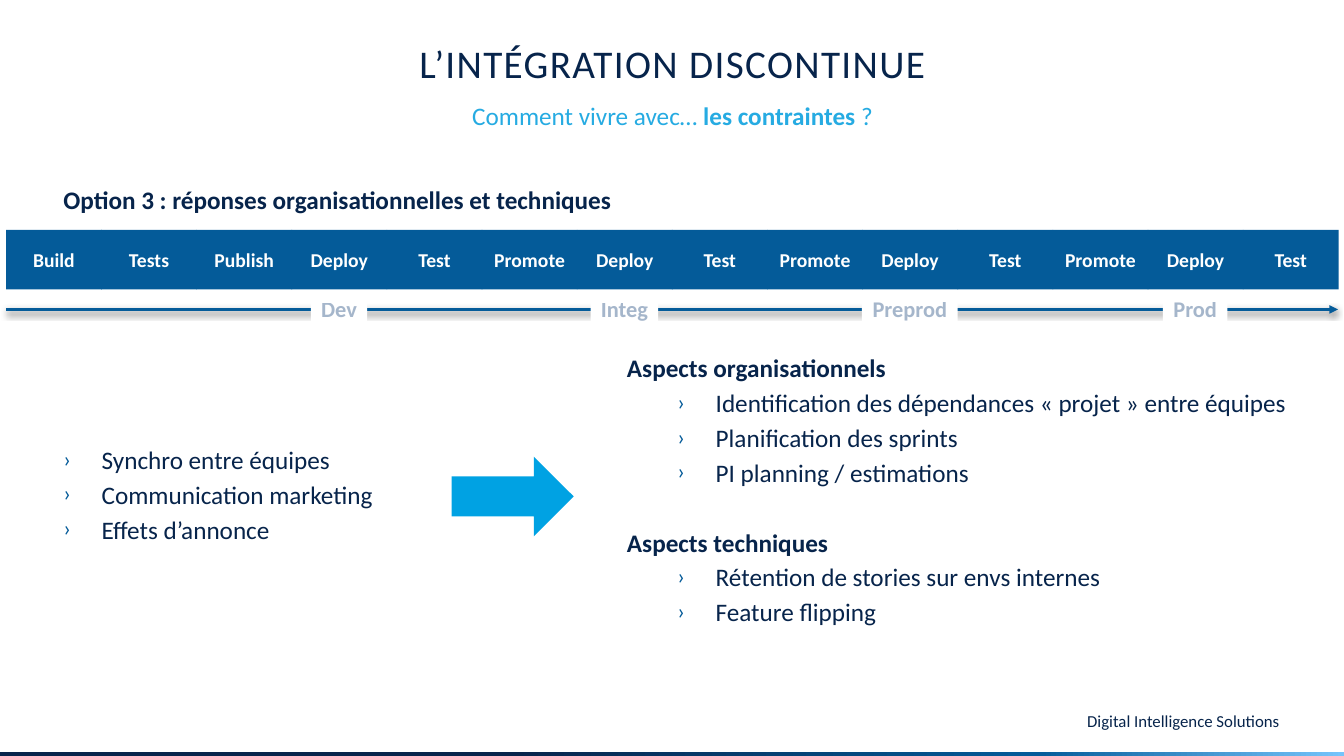
from copy import deepcopy

from lxml.etree import SubElement
from pptx import Presentation
from pptx.dml.color import RGBColor
from pptx.enum.shapes import MSO_CONNECTOR, MSO_SHAPE
from pptx.enum.text import MSO_ANCHOR, PP_ALIGN
from pptx.oxml.ns import qn
from pptx.util import Inches, Pt

FONT = "Calibri"
NAVY, BLUE, SKY, CYAN = "07244B", "045B99", "26ABE2", "00A2E3"
WHITE, SLATE = "FFFFFF", "1F497D"

STEPS = ["Build", "Tests", "Publish", "Deploy", "Test", "Promote", "Deploy",
         "Test", "Promote", "Deploy", "Test", "Promote", "Deploy", "Test"]
BAND_LEFT, BAND_RIGHT = 0.06, 13.27
STEP_PITCH = (BAND_RIGHT - BAND_LEFT) / len(STEPS)
# Environment name, index of its deployment step, label width
ENVIRONMENTS = [("Dev", 3, 0.56), ("Integ", 6, 0.67),
                ("Preprod", 9, 0.95), ("Prod", 12, 0.64)]

CONSTRAINTS = ["Synchro entre équipes", "Communication marketing",
               "Effets d’annonce"]
ASPECTS = [
    ("Aspects organisationnels",
     ["Identification des dépendances «\u00a0projet\u00a0» entre équipes",
      "Planification des sprints", "PI planning / estimations"]),
    ("Aspects techniques",
     ["Rétention de stories sur envs internes", "Feature flipping"]),
]
LINE_GAP, SECTION_GAP = 3.2, 28.4


def color(value):
    return RGBColor.from_string(value)


def style_runs(paragraph, size, fill, bold=False):
    for run in paragraph.runs:
        run.font.name = FONT
        run.font.size = Pt(size)
        run.font.bold = bold
        run.font.color.rgb = color(fill)


def add_text_box(slide, left, top, width, height):
    box = slide.shapes.add_textbox(
        Inches(left), Inches(top), Inches(width), Inches(height))
    box.text_frame.word_wrap = True
    return box.text_frame


def add_line_of_text(slide, box, text, size, fill, bold=False,
                     align=PP_ALIGN.LEFT):
    paragraph = add_text_box(slide, *box).paragraphs[0]
    paragraph.text = text
    paragraph.alignment = align
    style_runs(paragraph, size, fill, bold)
    return paragraph


def add_block(slide, kind, left, top, width, height, fill):
    shape = slide.shapes.add_shape(
        kind, Inches(left), Inches(top), Inches(width), Inches(height))
    shape.shadow.inherit = False
    shape.fill.solid()
    shape.fill.fore_color.rgb = color(fill)
    shape.line.fill.background()
    return shape


def add_label(slide, box, text, size, fill, text_fill):
    shape = add_block(slide, MSO_SHAPE.RECTANGLE, *box, fill)
    frame = shape.text_frame
    frame.margin_left = frame.margin_right = Inches(0.05)
    frame.vertical_anchor = MSO_ANCHOR.MIDDLE
    paragraph = frame.paragraphs[0]
    paragraph.text = text
    paragraph.alignment = PP_ALIGN.CENTER
    style_runs(paragraph, size, text_fill, True)
    return shape


def set_alpha(parent, percent):
    SubElement(parent, qn("a:alpha"), val=str(percent * 1000))


def set_bullet(paragraph, left):
    properties = paragraph._p.get_or_add_pPr()
    properties.set("marL", str(Inches(left)))
    properties.set("indent", str(Inches(-0.38)))
    bullet_color = SubElement(properties, qn("a:buClr"))
    SubElement(bullet_color, qn("a:srgbClr"), val=BLUE)
    SubElement(properties, qn("a:buSzPct"), val="90000")
    SubElement(properties, qn("a:buFont"), typeface=FONT)
    SubElement(properties, qn("a:buChar"), char="›")


def add_paragraph(frame, text, gap=LINE_GAP, bullet_left=None):
    first = not frame.text
    paragraph = frame.paragraphs[0] if first else frame.add_paragraph()
    paragraph.text = text
    if not first:
        paragraph.space_before = Pt(gap)
    if bullet_left is not None:
        set_bullet(paragraph, bullet_left)
    style_runs(paragraph, 18, NAVY, bold=bullet_left is None)


def add_gradient_bar(slide):
    bar = add_block(slide, MSO_SHAPE.RECTANGLE, 0, 7.46, 13.33, 0.04, NAVY)
    bar.fill.gradient()
    bar.fill.gradient_angle = 0
    stop_list = bar._element.spPr.find(".//" + qn("a:gsLst"))
    stop_list.append(deepcopy(stop_list[-1]))
    stops = [(0.38, NAVY), (0.77, BLUE), (1, "75C4FB")]
    for stop, (position, fill) in zip(bar.fill.gradient_stops, stops):
        stop.position = position
        stop.color.rgb = color(fill)


def add_timeline(slide):
    y = Inches(3.07)
    line = slide.shapes.add_connector(
        MSO_CONNECTOR.STRAIGHT, Inches(BAND_LEFT), y, Inches(BAND_RIGHT), y)
    line.line.color.rgb = color(BLUE)
    line.line.width = Pt(2)
    SubElement(line.line._get_or_add_ln(), qn("a:tailEnd"), type="triangle")
    effects = SubElement(line._element.spPr, qn("a:effectLst"))
    shadow = SubElement(effects, qn("a:outerShdw"), blurRad=str(Pt(3.1)),
                        dist=str(Pt(1.6)), dir="5400000", rotWithShape="0")
    set_alpha(SubElement(shadow, qn("a:srgbClr"), val="000000"), 38)


def add_title(slide):
    title = slide.shapes.title
    title.left, title.top = Inches(0.67), Inches(0.3)
    title.width, title.height = Inches(12), Inches(0.65)
    title.text_frame.text = "L’INTÉGRATION DISCONTINUE"
    title.text_frame.vertical_anchor = MSO_ANCHOR.MIDDLE
    paragraph = title.text_frame.paragraphs[0]
    paragraph.alignment = PP_ALIGN.CENTER
    style_runs(paragraph, 28, NAVY)
    paragraph.runs[0].font._element.set("spc", "100")


def add_subtitle(slide):
    paragraph = add_line_of_text(
        slide, (0.67, 0.98, 12, 0.8), "Comment vivre avec… ", 18, SKY,
        align=PP_ALIGN.CENTER)
    paragraph.line_spacing = 0.9
    for text in ("les contraintes ", "?"):
        paragraph.add_run().text = text
    style_runs(paragraph, 18, SKY)
    paragraph.runs[1].font.bold = True


def main():
    presentation = Presentation()
    presentation.slide_width = Inches(13.33)
    presentation.slide_height = Inches(7.5)
    slide = presentation.slides.add_slide(presentation.slide_layouts[5])

    # Footer and headings
    add_gradient_bar(slide)
    add_line_of_text(slide, (6.05, 7, 6.74, 0.3),
                     "Digital Intelligence Solutions", 12, NAVY,
                     align=PP_ALIGN.RIGHT)
    add_title(slide)
    add_subtitle(slide)
    add_line_of_text(slide, (0.53, 1.78, 5.96, 0.4),
                     "Option 3 : réponses organisationnelles et techniques",
                     18, NAVY, True)

    # Pipeline steps
    for index, step in enumerate(STEPS):
        left = BAND_LEFT + index * STEP_PITCH
        add_label(slide, (left, 2.28, 0.95, 0.59), step, 14, BLUE, WHITE)

    # Environments, each centred under its deployment step
    add_timeline(slide)
    for name, index, width in ENVIRONMENTS:
        left = BAND_LEFT + (index + 0.5) * STEP_PITCH - width / 2
        label = add_label(slide, (left, 2.88, width, 0.37), name, 16,
                          WHITE, SLATE)
        label.text_frame.word_wrap = False
        run = label.text_frame.paragraphs[0].runs[0]
        set_alpha(run.font._element.find(".//" + qn("a:srgbClr")), 40)

    # Constraints lead to answers
    constraints = add_text_box(slide, 0.53, 4.36, 3.5, 1.13)
    for text in CONSTRAINTS:
        add_paragraph(constraints, text, bullet_left=0.38)
    add_block(slide, MSO_SHAPE.RIGHT_ARROW, 4.48, 4.53, 1.21, 0.79, CYAN)
    answers = add_text_box(slide, 6.12, 3.45, 7.01, 2.95)
    for heading, items in ASPECTS:
        add_paragraph(answers, heading, SECTION_GAP)
        for text in items:
            add_paragraph(answers, text, bullet_left=0.88)

    presentation.save("out.pptx")


if __name__ == "__main__":
    main()
